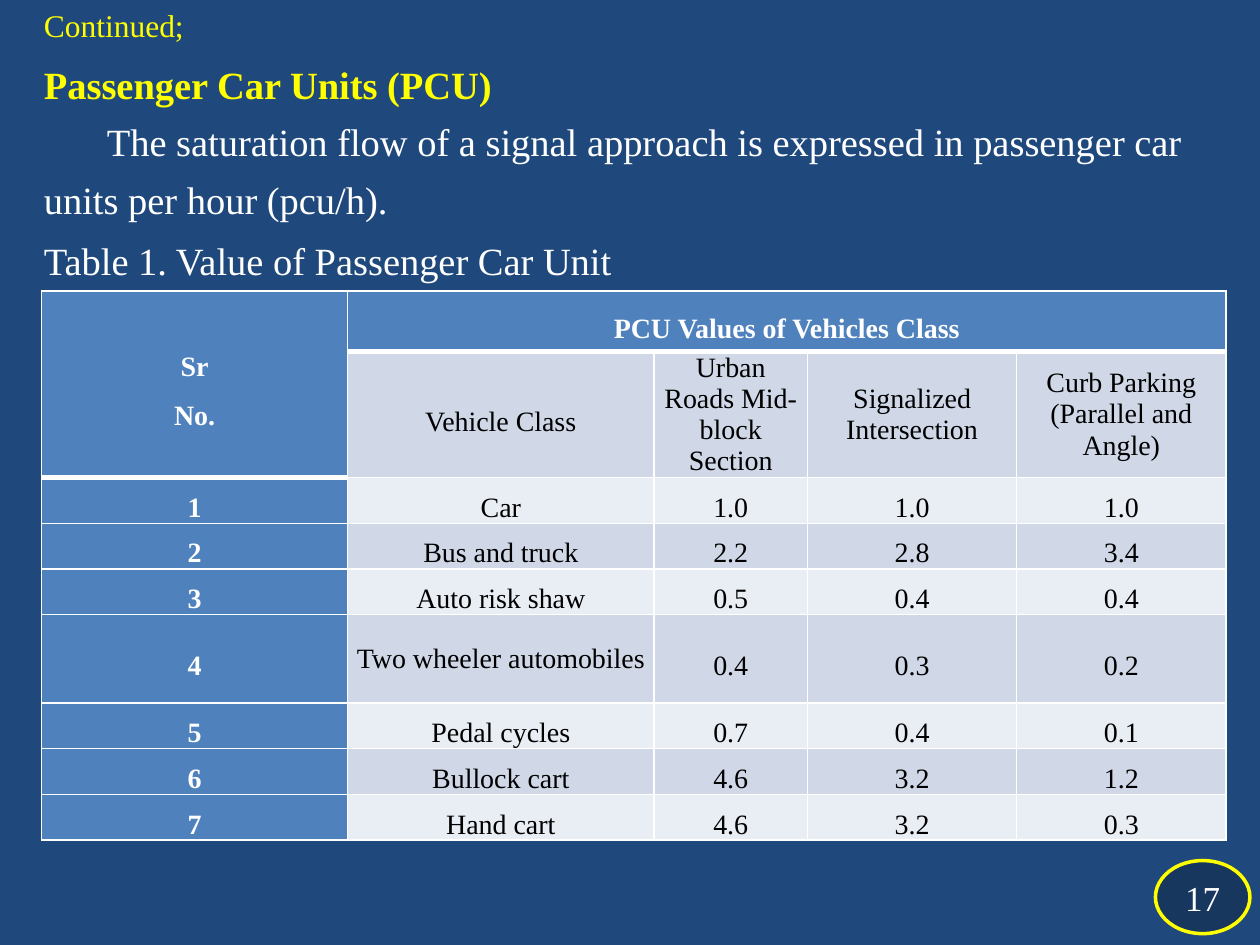
from lxml import etree
from pptx import Presentation
from pptx.dml.color import RGBColor
from pptx.enum.shapes import MSO_SHAPE as Shape
from pptx.enum.text import MSO_ANCHOR as Anchor, MSO_AUTO_SIZE as AutoSize, PP_ALIGN as Align
from pptx.oxml.ns import qn
from pptx.util import Inches, Pt

FONT = "Times New Roman"
NAVY, DARK_NAVY, BLUE = "1F497D", "17375E", "4F81BD"
BAND_DARK, BAND_LIGHT = "D0D8E8", "E9EDF4"
YELLOW, WHITE, BLACK = "FFFF00", "FFFFFF", "000000"

COLUMN_WIDTHS = [2.43, 2.43, 1.22, 1.66, 1.66]
ROW_HEIGHTS = [0.48, 1, 0.34, 0.34, 0.34, 0.7, 0.34, 0.34, 0.34]
ROWS = [
    ["Sr\nNo.", "PCU Values of Vehicles Class", "", "", ""],
    ["", "Vehicle Class", "Urban Roads Mid-block Section",
     "Signalized Intersection", "Curb Parking (Parallel and Angle)"],
    ["1", "Car", "1.0", "1.0", "1.0"],
    ["2", "Bus and truck", "2.2", "2.8", "3.4"],
    ["3", "Auto risk shaw", "0.5", "0.4", "0.4"],
    ["4", "Two wheeler automobiles", "0.4", "0.3", "0.2"],
    ["5", "Pedal cycles", "0.7", "0.4", "0.1"],
    ["6", "Bullock cart", "4.6", "3.2", "1.2"],
    ["7", "Hand cart", "4.6", "3.2", "0.3"],
]
# Cells whose text wraps keep single line spacing
SINGLE_SPACED = {(1, 2), (1, 3), (1, 4), (5, 1)}


def color(hex_value):
    return RGBColor.from_string(hex_value)


def format_runs(paragraph, size, hex_value, bold=False):
    for run in paragraph.runs:
        run.font.name = FONT
        run.font.size = Pt(size)
        run.font.bold = bold
        run.font.color.rgb = color(hex_value)


def add_text(slide, box, lines, size, wrap=False, spacing=None):
    """Place lines given as (text, colour, bold) in a text box."""
    text_box = slide.shapes.add_textbox(*map(Inches, box))
    text_frame = text_box.text_frame
    text_frame.word_wrap = wrap
    text_frame.auto_size = AutoSize.SHAPE_TO_FIT_TEXT
    text_frame.text = "\n".join(text for text, _, _ in lines)
    for paragraph, (_, hex_value, bold) in zip(text_frame.paragraphs, lines):
        paragraph.line_spacing = spacing
        format_runs(paragraph, size, hex_value, bold)


def set_borders(cell, bottom_width):
    properties = cell._tc.get_or_add_tcPr()
    widths = {"a:lnL": 1, "a:lnR": 1, "a:lnT": 1, "a:lnB": bottom_width}
    for index, (tag, width) in enumerate(widths.items()):
        line = etree.Element(qn(tag), w=str(Pt(width)))
        fill = etree.SubElement(line, qn("a:solidFill"))
        etree.SubElement(fill, qn("a:srgbClr"), val=WHITE)
        properties.insert(index, line)


def format_cell(cell, row, column):
    is_header = row == 0 or column == 0
    band = BAND_DARK if row % 2 else BAND_LIGHT
    cell.fill.solid()
    cell.fill.fore_color.rgb = color(BLUE if is_header else band)
    cell.vertical_anchor = Anchor.MIDDLE
    cell.margin_left = cell.margin_right = Inches(0.07)
    cell.margin_top = cell.margin_bottom = 0
    for index, paragraph in enumerate(cell.text_frame.paragraphs):
        paragraph.alignment = Align.CENTER
        if (row, column) not in SINGLE_SPACED:
            paragraph.line_spacing = 1.47
        if index:
            paragraph.space_before = Pt(2)
        format_runs(paragraph, 16, WHITE if is_header else BLACK, is_header)
    ends_header = (row == 0) or (row, column) == (1, 0)
    set_borders(cell, 3 if ends_header else 1)


def add_pcu_table(slide, left, top):
    frame = slide.shapes.add_table(
        len(ROWS), len(COLUMN_WIDTHS), Inches(left), Inches(top),
        Inches(sum(COLUMN_WIDTHS)), Inches(sum(ROW_HEIGHTS)))
    table = frame.table
    for column, width in zip(table.columns, COLUMN_WIDTHS):
        column.width = Inches(width)
    for row, height in zip(table.rows, ROW_HEIGHTS):
        row.height = Inches(height)
    for row, values in enumerate(ROWS):
        for column, value in enumerate(values):
            cell = table.cell(row, column)
            cell.text_frame.text = value
            format_cell(cell, row, column)
    table.cell(0, 0).merge(table.cell(1, 0))
    table.cell(0, 1).merge(table.cell(0, 4))


def add_page_badge(slide, box, number):
    badge = slide.shapes.add_shape(Shape.OVAL, *map(Inches, box))
    badge.shadow.inherit = False
    badge.fill.solid()
    badge.fill.fore_color.rgb = color(DARK_NAVY)
    badge.line.color.rgb = color(YELLOW)
    badge.line.width = Pt(2)
    text_frame = badge.text_frame
    text_frame.text = number
    text_frame.vertical_anchor = Anchor.MIDDLE
    paragraph = text_frame.paragraphs[0]
    paragraph.alignment = Align.CENTER
    format_runs(paragraph, 20, WHITE)


def main():
    presentation = Presentation()
    presentation.slide_width = Inches(10)
    presentation.slide_height = Inches(7.5)
    slide = presentation.slides.add_slide(presentation.slide_layouts[6])
    slide.background.fill.solid()
    slide.background.fill.fore_color.rgb = color(NAVY)

    # Table and page number
    add_pcu_table(slide, 0.33, 2.31)
    add_page_badge(slide, (9.17, 6.83, 0.75, 0.58), "17")

    # Heading, introduction and table caption
    add_text(slide, (0.25, 0.34, 9.42, 1.49), [
        ("Passenger Car Units (PCU)", YELLOW, True),
        ("\tThe saturation flow of a signal approach is expressed in "
         "passenger car units per hour (pcu/h).", WHITE, False),
    ], 22, wrap=True, spacing=1.25)
    add_text(slide, (0.25, 1.83, 4.76, 0.47),
             [("Table 1. Value of Passenger Car Unit", WHITE, False)], 22)
    add_text(slide, (0.25, 0, 1.32, 0.4), [("Continued;", YELLOW, False)], 18)

    presentation.save("out.pptx")


if __name__ == "__main__":
    main()
